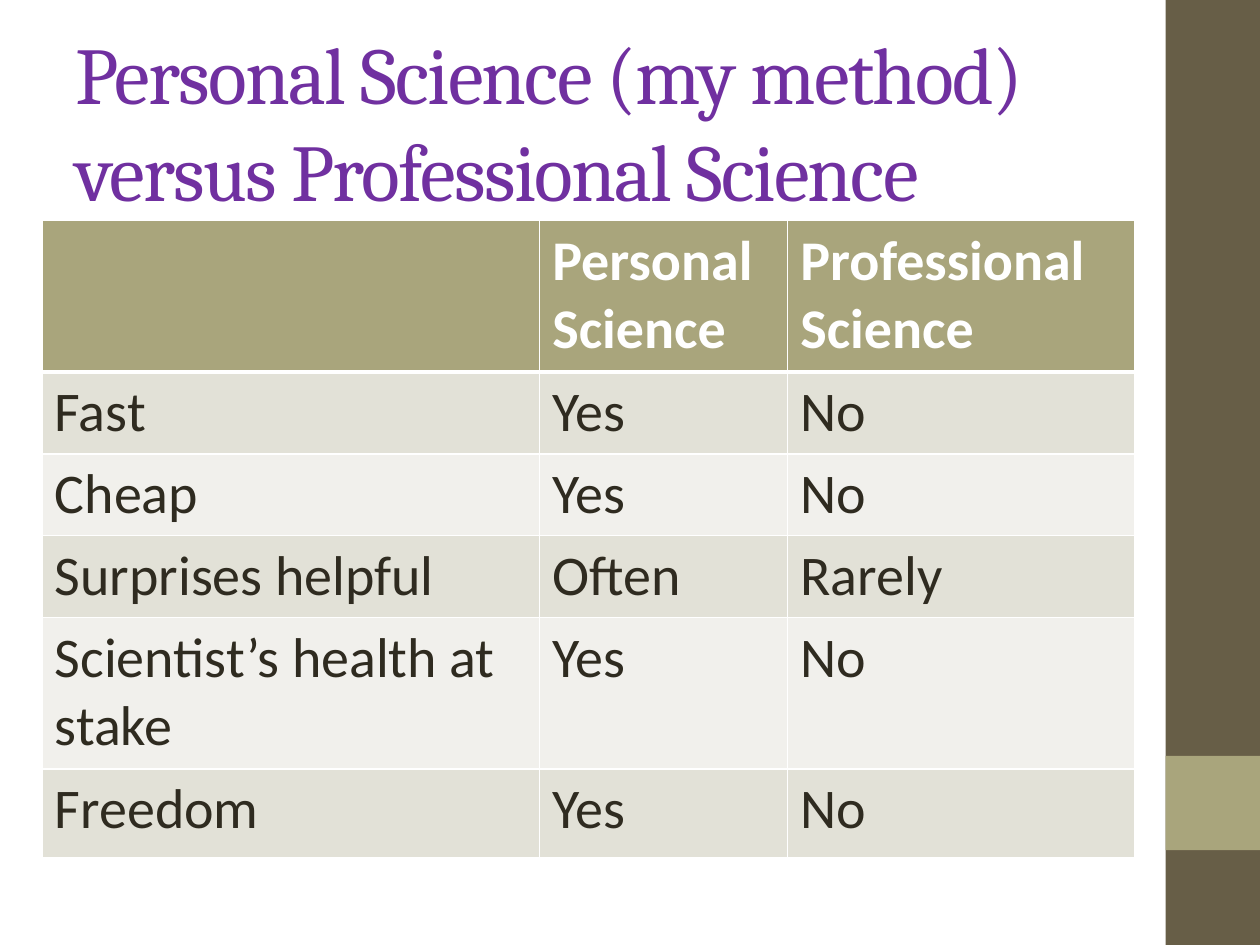
from dataclasses import dataclass

import lxml.etree
import pptx
import pptx.dml.color
import pptx.enum.shapes
import pptx.enum.text
import pptx.oxml.ns
import pptx.util

Cm = pptx.util.Cm
Pt = pptx.util.Pt


@dataclass(frozen=True)
class Theme:
    title_font: str = "Cambria"
    body_font: str = "Calibri"
    title_size: float = 46
    body_size: float = 32
    title_color: str = "7030A0"
    text_color: str = "2F2B20"
    light: str = "FFFFFF"
    sidebar: str = "675E47"
    accent: str = "A9A57C"
    bands: tuple[str, str] = ("E2E1D7", "F1F0EC")
    border: float = 1
    header_border: float = 3


@dataclass(frozen=True)
class Block:
    left: float
    top: float
    width: float
    height: float
    color: str


@dataclass(frozen=True)
class Row:
    height: float
    texts: tuple[str, str, str]


THEME = Theme()
SLIDE_WIDTH, SLIDE_HEIGHT = 25.4, 19.05
SIDEBAR_WIDTH = 1.9
SIDEBAR_LEFT = SLIDE_WIDTH - SIDEBAR_WIDTH
BLOCKS = (
    Block(SIDEBAR_LEFT, 0, SIDEBAR_WIDTH, SLIDE_HEIGHT, THEME.sidebar),
    Block(SIDEBAR_LEFT, 15.24, SIDEBAR_WIDTH, SIDEBAR_WIDTH, THEME.accent),
)
COLUMN_WIDTHS = (10.03, 5, 6.99)
ROWS = (
    Row(3.05, ("", "Personal Science", "Professional Science")),
    Row(1.65, ("Fast", "Yes", "No")),
    Row(1.65, ("Cheap", "Yes", "No")),
    Row(1.65, ("Surprises helpful", "Often", "Rarely")),
    Row(3.05, ("Scientist’s health at stake", "Yes", "No")),
    Row(1.8, ("Freedom", "Yes", "No")),
)


def rgb(color: str) -> pptx.dml.color.RGBColor:
    return pptx.dml.color.RGBColor.from_string(color)


def write_text(frame, text: str, *, font: str, size: float, color: str,
               bold: bool = False, spacing: float = 0) -> None:
    para = frame.paragraphs[0]
    para.font.size = Pt(size)
    if not text:
        return
    span = para.add_run()
    span.text = text
    span.font.name = font
    span.font.size = Pt(size)
    span.font.bold = bold
    span.font.color.rgb = rgb(color)
    if spacing:
        span.font._element.set("spc", str(round(spacing * 100)))


def draw_block(page, block: Block) -> None:
    box = page.shapes.add_shape(
        pptx.enum.shapes.MSO_SHAPE.RECTANGLE,
        Cm(block.left), Cm(block.top), Cm(block.width), Cm(block.height))
    box.shadow.inherit = False
    box.fill.solid()
    box.fill.fore_color.rgb = rgb(block.color)
    box.line.fill.background()


def draw_title(page, text: str) -> None:
    box = page.shapes.add_textbox(Cm(1.27), Cm(0.85), Cm(21.17), Cm(3.18))
    frame = box.text_frame
    frame.word_wrap = True
    frame.vertical_anchor = pptx.enum.text.MSO_ANCHOR.MIDDLE
    write_text(frame, text, font=THEME.title_font, size=THEME.title_size,
               color=THEME.title_color, spacing=-1)


def set_borders(cell, top: float, bottom: float) -> None:
    properties = cell._tc.get_or_add_tcPr()
    widths = {"a:lnL": THEME.border, "a:lnR": THEME.border,
              "a:lnT": top, "a:lnB": bottom}
    for position, (tag, width) in enumerate(widths.items()):
        line = lxml.etree.Element(pptx.oxml.ns.qn(tag), w=str(int(Pt(width))))
        fill = lxml.etree.SubElement(line, pptx.oxml.ns.qn("a:solidFill"))
        lxml.etree.SubElement(fill, pptx.oxml.ns.qn("a:srgbClr"), val=THEME.light)
        properties.insert(position, line)


def draw_table(page, rows: tuple[Row, ...], widths: tuple[float, ...]) -> None:
    table = page.shapes.add_table(
        len(rows), len(widths), Cm(0.85), Cm(4.45),
        Cm(sum(widths)), Cm(sum(row.height for row in rows))).table
    for column, width in zip(table.columns, widths):
        column.width = Cm(width)
    for index, row in enumerate(rows):
        header = index == 0
        table.rows[index].height = Cm(row.height)
        for cell, text in zip(table.rows[index].cells, row.texts):
            cell.fill.solid()
            cell.fill.fore_color.rgb = rgb(
                THEME.accent if header else THEME.bands[(index - 1) % 2])
            set_borders(cell,
                        top=THEME.header_border if index == 1 else THEME.border,
                        bottom=THEME.header_border if header else THEME.border)
            write_text(cell.text_frame, text, font=THEME.body_font,
                       size=THEME.body_size, bold=header,
                       color=THEME.light if header else THEME.text_color)


def main() -> None:
    deck = pptx.Presentation()
    deck.slide_width, deck.slide_height = Cm(SLIDE_WIDTH), Cm(SLIDE_HEIGHT)
    page = deck.slides.add_slide(deck.slide_layouts[6])
    for block in BLOCKS:
        draw_block(page, block)
    draw_title(page, "Personal Science (my method) versus Professional Science")
    draw_table(page, ROWS, COLUMN_WIDTHS)
    deck.save("out.pptx")


if __name__ == "__main__":
    main()
